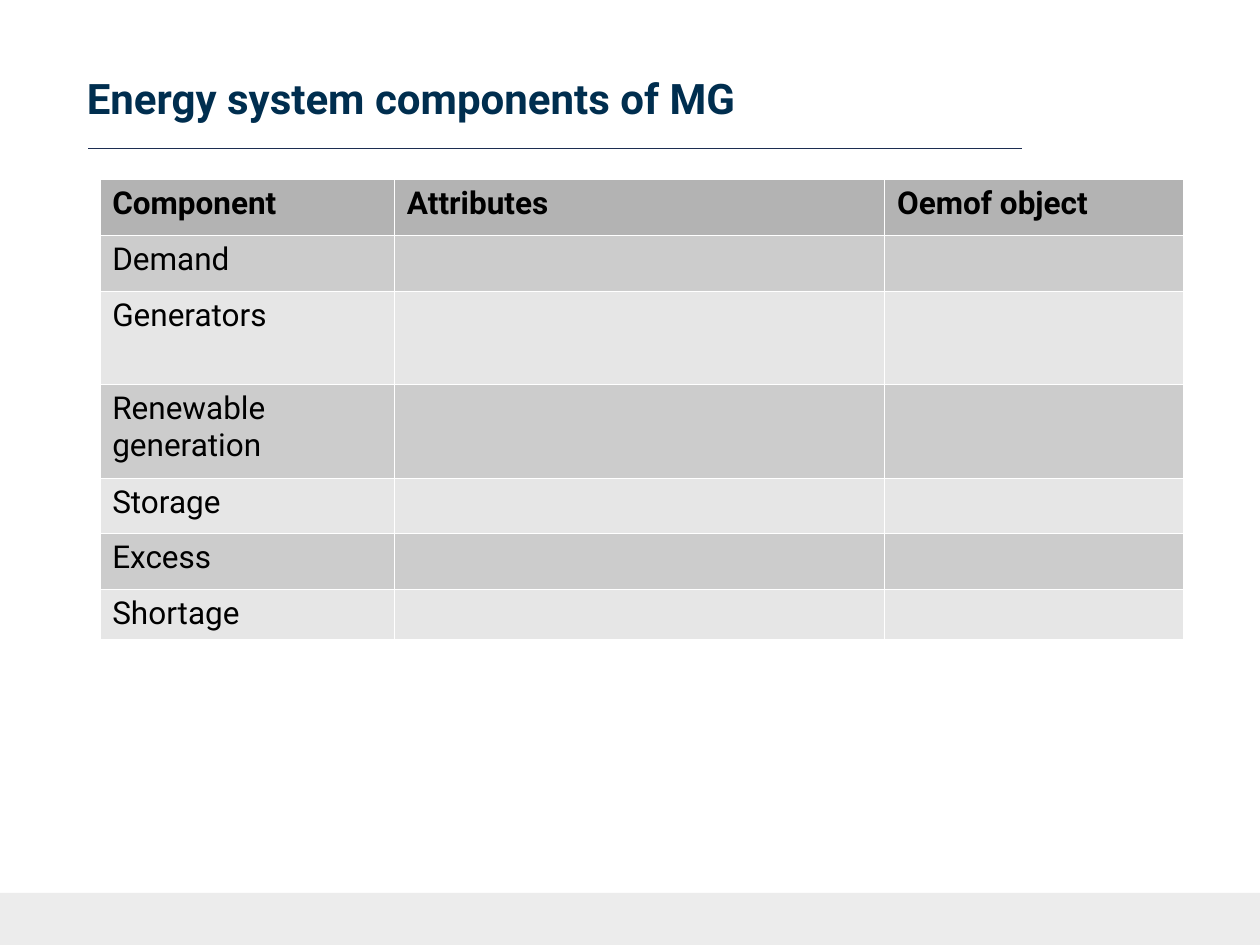
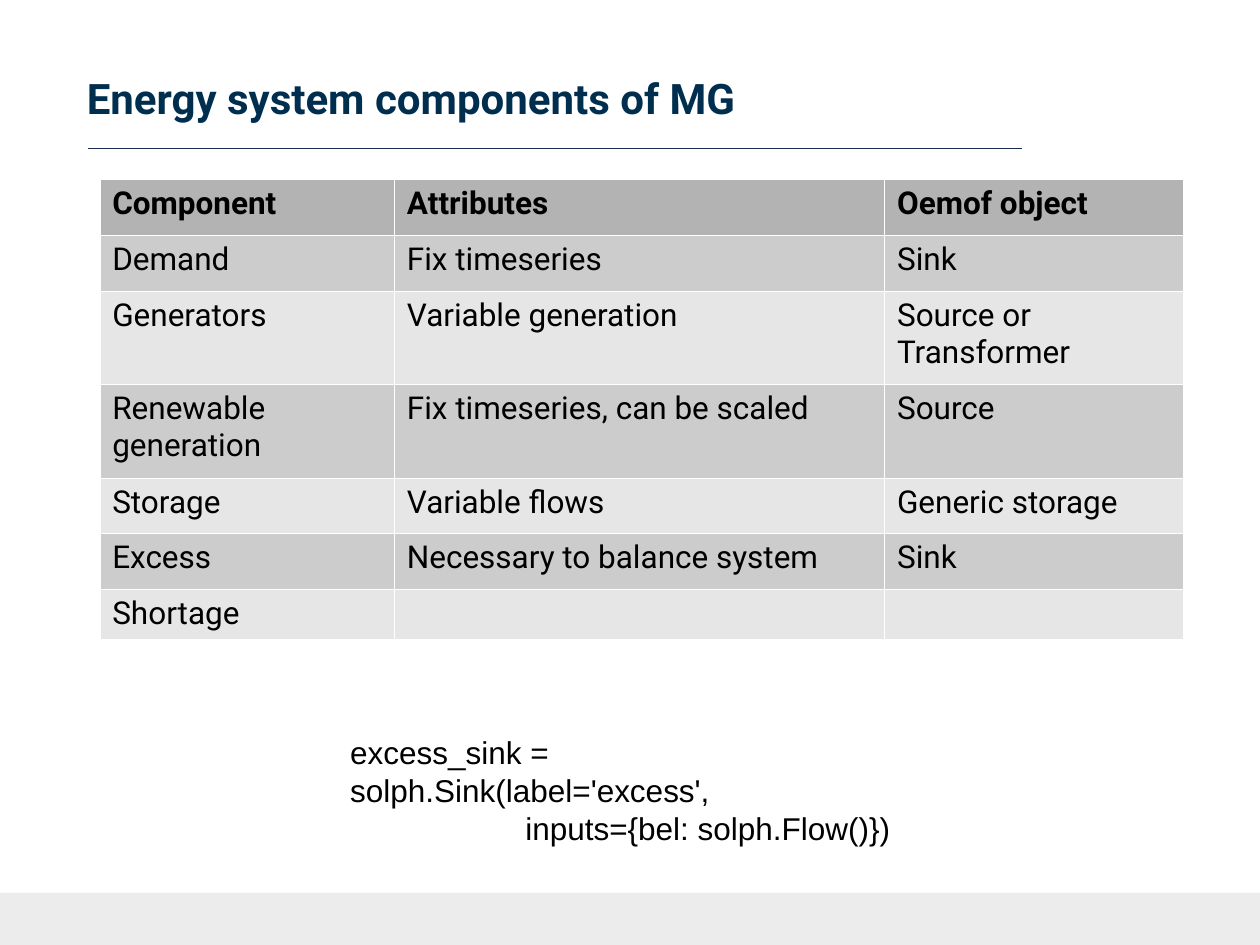
from dataclasses import dataclass

from lxml import etree
from pptx import Presentation
from pptx.dml.color import RGBColor
from pptx.enum.shapes import MSO_CONNECTOR, MSO_SHAPE
from pptx.enum.text import MSO_ANCHOR
from pptx.oxml.ns import qn
from pptx.util import Cm, Pt

RECTANGLE = MSO_SHAPE.RECTANGLE
STRAIGHT = MSO_CONNECTOR.STRAIGHT
MIDDLE = MSO_ANCHOR.MIDDLE
BLANK_LAYOUT = 6


@dataclass(frozen=True)
class Theme:
    title_color: str = "002E4F"
    rule_color: str = "1C2D51"
    text_color: str = "000000"
    footer_color: str = "ECECEC"
    header_fill: str = "B3B3B3"
    row_fills: tuple = ("CCCCCC", "E6E6E6")
    border_color: str = "FFFFFF"
    font: str = "Roboto"
    code_font: str = "Arial"
    title_size: float = 24
    body_size: float = 18
    rule_width: float = 0.5
    border_width: float = 0.06


THEME = Theme()
SLIDE_WIDTH, SLIDE_HEIGHT = Cm(25.4), Cm(19.05)
FOOTER_HEIGHT = Cm(1.05)

TITLE = "Energy system components of MG"
HEADERS = ("Component", "Attributes", "Oemof object")
COLUMN_WIDTHS = (5.94, 9.88, 6.02)
ROW_HEIGHTS = (1.12, 1.14, 1.88, 1.88, 1.12, 1.12, 1.02)
COMPONENTS = (
    ("Demand", "Fix timeseries", "Sink"),
    ("Generators", "Variable generation", "Source or Transformer"),
    ("Renewable generation", "Fix timeseries, can be scaled", "Source"),
    ("Storage", "Variable flows", "Generic storage"),
    ("Excess", "Necessary to balance system", "Sink"),
    ("Shortage", "", ""),
)
CODE_LINES = (
    ("excess_sink = solph.Sink(label='excess',", 0),
    ("inputs={bel: solph.Flow()})", 3.53),
)


def rgb(color):
    return RGBColor.from_string(color)


def style_font(font, size, color, name=THEME.font, bold=False):
    font.size = Pt(size)
    font.color.rgb = rgb(color)
    font.name = name
    font.bold = bold


def add_footer_band(slide):
    band = slide.shapes.add_shape(
        RECTANGLE, 0, SLIDE_HEIGHT - FOOTER_HEIGHT, SLIDE_WIDTH, FOOTER_HEIGHT)
    band.shadow.inherit = False
    band.fill.solid()
    band.fill.fore_color.rgb = rgb(THEME.footer_color)
    band.line.fill.background()


def add_title_rule(slide):
    rule = slide.shapes.add_connector(STRAIGHT, Cm(1.78), Cm(3), Cm(20.6), Cm(3))
    rule.line.color.rgb = rgb(THEME.rule_color)
    rule.line.width = Pt(THEME.rule_width)
    etree.SubElement(rule._element.spPr, qn("a:effectLst"))


def add_title(slide, title):
    box = slide.shapes.add_textbox(Cm(1.75), Cm(0.97), Cm(21.9), Cm(2))
    frame = box.text_frame
    frame.word_wrap = True
    frame.vertical_anchor = MIDDLE
    frame.margin_left, frame.margin_right = 0, Cm(0.33)
    frame.margin_top = frame.margin_bottom = Cm(0.18)
    frame.text = title
    style_font(frame.paragraphs[0].runs[0].font, THEME.title_size,
               THEME.title_color, bold=True)


def set_cell_borders(cell):
    properties = cell._tc.get_or_add_tcPr()
    for position, side in enumerate(("lnL", "lnR", "lnT", "lnB")):
        line = etree.Element(qn(f"a:{side}"), w=str(Pt(THEME.border_width)))
        fill = etree.SubElement(line, qn("a:solidFill"))
        etree.SubElement(fill, qn("a:srgbClr"), val=THEME.border_color)
        properties.insert(position, line)


def fill_cell(cell, text, fill, bold):
    cell.text = text
    for run in cell.text_frame.paragraphs[0].runs:
        style_font(run.font, THEME.body_size, THEME.text_color, bold=bold)
    cell.fill.solid()
    cell.fill.fore_color.rgb = rgb(fill)
    set_cell_borders(cell)


def add_component_table(slide, components):
    rows = (HEADERS, *components)
    table = slide.shapes.add_table(
        len(rows), len(HEADERS), Cm(2.01), Cm(3.61),
        Cm(sum(COLUMN_WIDTHS)), Cm(sum(ROW_HEIGHTS))).table
    for column, width in zip(table.columns, COLUMN_WIDTHS):
        column.width = Cm(width)
    for index, (row, height, texts) in enumerate(zip(table.rows, ROW_HEIGHTS, rows)):
        row.height = Cm(height)
        is_header = index == 0
        fill = THEME.header_fill if is_header else THEME.row_fills[(index - 1) % 2]
        for cell, text in zip(row.cells, texts):
            fill_cell(cell, text, fill, bold=is_header)


def add_code(slide, code_lines):
    """Add code lines, each given with its left indent in centimetres."""
    box = slide.shapes.add_textbox(Cm(6.81), Cm(14.66), Cm(11.8), Cm(3.1))
    frame = box.text_frame
    frame.word_wrap = True
    for index, (text, indent) in enumerate(code_lines):
        paragraph = frame.add_paragraph() if index else frame.paragraphs[0]
        paragraph.text = text
        paragraph._p.get_or_add_pPr().set("marL", str(Cm(indent)))
        style_font(paragraph.runs[0].font, THEME.body_size, THEME.text_color,
                   THEME.code_font)


def add_component_slide(presentation, components):
    slide = presentation.slides.add_slide(presentation.slide_layouts[BLANK_LAYOUT])
    add_footer_band(slide)
    add_title_rule(slide)
    add_title(slide, TITLE)
    add_component_table(slide, components)
    return slide


def main():
    presentation = Presentation()
    presentation.slide_width, presentation.slide_height = SLIDE_WIDTH, SLIDE_HEIGHT
    names_only = [(name, "", "") for name, _, _ in COMPONENTS]
    add_component_slide(presentation, names_only)
    solution_slide = add_component_slide(presentation, COMPONENTS)
    add_code(solution_slide, CODE_LINES)
    presentation.save("out.pptx")


if __name__ == "__main__":
    main()
